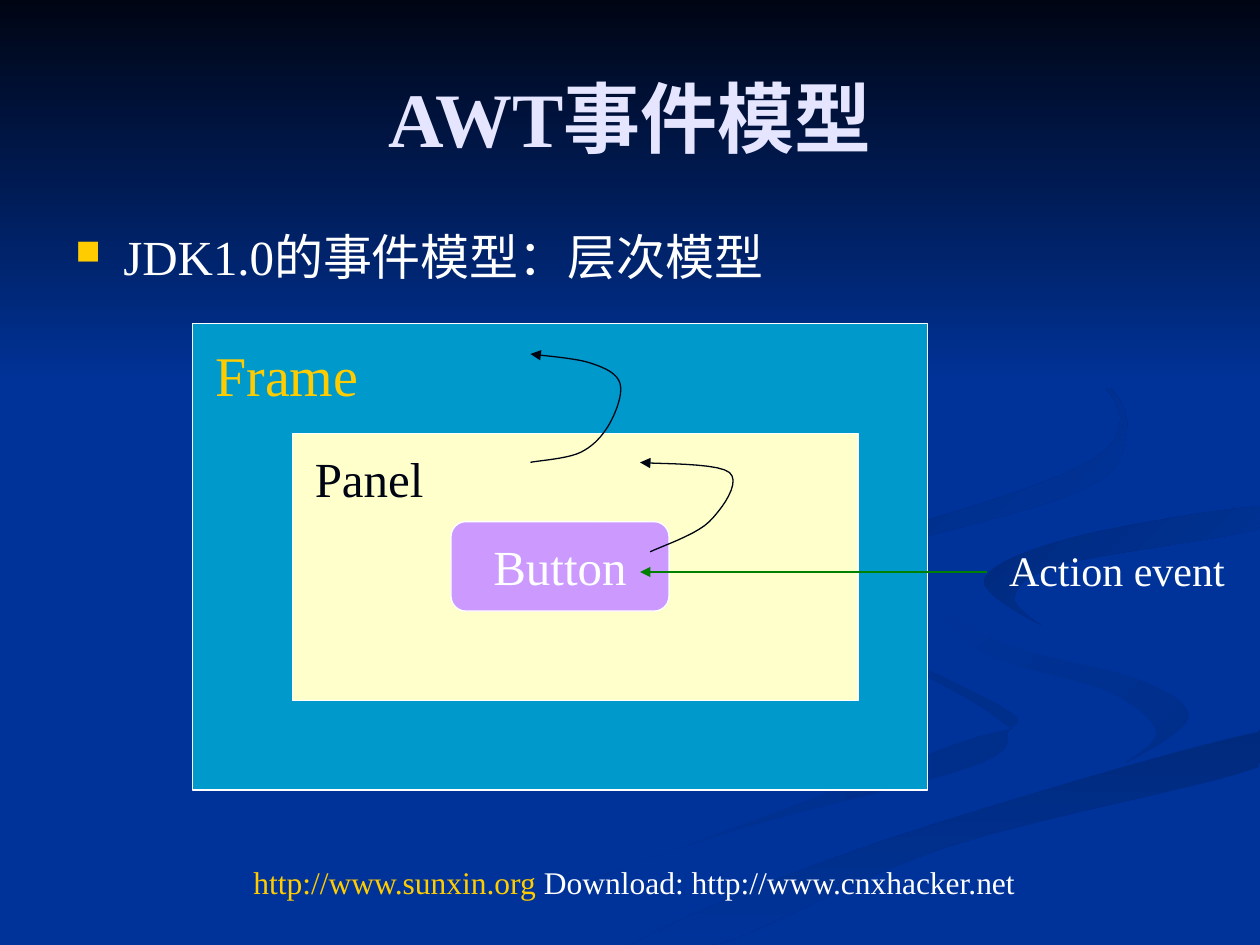
"""Build the AWT event model slide."""
import dataclasses

import lxml.etree
import pptx
import pptx.dml.color
import pptx.enum.shapes
import pptx.enum.text
import pptx.oxml.ns
import pptx.util

Inches = pptx.util.Inches
Pt = pptx.util.Pt
qn = pptx.oxml.ns.qn
PP_ALIGN = pptx.enum.text.PP_ALIGN
MSO_ANCHOR = pptx.enum.text.MSO_ANCHOR
MSO_SHAPE = pptx.enum.shapes.MSO_SHAPE


@dataclasses.dataclass(frozen=True)
class Theme:
    """Colours and type sizes."""
    font: str = "Times New Roman"
    blue: str = "003399"
    shade: str = "002E8B"
    deep: str = "002A7D"
    night: str = "000514"
    title: str = "E5E5FF"
    white: str = "FFFFFF"
    gold: str = "FFCC00"
    frame: str = "0099CC"
    panel: str = "FFFFCC"
    button: str = "CC99FF"
    event: str = "008000"
    title_size: int = 44
    frame_size: int = 32
    body_size: int = 28
    event_size: int = 24
    footer_size: int = 18
    line: float = 0.75


T = Theme()
WIDTH, HEIGHT = 10, 7.5

SWIRLS = [
    (T.blue, T.shade, 0, [(5.75, 4.6), (7.86, 5.56), (8, 5.81), (7.69, 6.09), (5.64, 6.65),
                          (3.3, 7.5), (7.39, 5.98), (7.86, 5.66)]),
    (T.blue, T.shade, 45, [(7.24, 4.64), (7.92, 5.09), (9.05, 5.4), (9.43, 5.7), (8.94, 6.05),
                           (9.18, 5.81), (8.8, 5.49), (7.81, 5.18)]),
    (T.deep, T.blue, 90, [(5.03, 7.49), (6.96, 6.69), (9.98, 5.81), (9.98, 6.09), (7.52, 6.72),
                          (5.71, 7.49)]),
    (T.deep, T.blue, 45, [(7.81, 4.6), (8.26, 4.96), (8.05, 4.74), (8.43, 4.48), (9.98, 4.2),
                          (9.98, 4.02), (8.5, 4.27)]),
    (T.deep, T.blue, 45, [(7.62, 2.33), (8.64, 2.91), (8.94, 3.44), (8.41, 3.96), (5.8, 4.6),
                          (8.3, 3.82), (8.89, 3.35), (8.46, 2.79)]),
]

PANEL_ARROW = [(5.16, 4.38), (5.63, 4.14), (5.79, 3.75), (5.08, 3.67)]
FRAME_ARROW = [(4.21, 3.67), (4.61, 3.59), (4.84, 3.36), (4.92, 3.04), (4.68, 2.88), (4.21, 2.81)]


def rgb(color):
    """Return a colour object for a hex string."""
    return pptx.dml.color.RGBColor.from_string(color)


def spline(a, b, c, d, t):
    """Return the Catmull-Rom value between b and c."""
    return b + t / 2 * (c - a + t * (2 * a - 5 * b + 4 * c - d + t * (3 * (b - c) + d - a)))


def smooth(points, close, steps=10):
    """Return a dense smooth line through the points, kept on the slide."""
    ends = (points[-1:], points[:2]) if close else (points[:1], points[-1:])
    knots = ends[0] + points + ends[1]
    dense = [points[0]]
    for quad in zip(knots, knots[1:], knots[2:], knots[3:]):
        for n in range(1, steps + 1):
            x, y = (spline(*axis, n / steps) for axis in zip(*quad))
            dense.append((min(x, WIDTH), min(y, HEIGHT)))
    return dense


def add_curve(s, points, close):
    """Add a smooth freeform through points given in inches."""
    pts = [(Inches(x), Inches(y)) for x, y in smooth(points, close)]
    builder = s.shapes.build_freeform(*pts[0], scale=1.0)
    builder.add_line_segments(pts[1:], close=close)
    sp = builder.convert_to_shape()
    sp.shadow.inherit = False
    return sp


def fill_gradient(sp, start, end, angle):
    """Fill a borderless shape with a linear gradient."""
    sp.line.fill.background()
    sp.fill.gradient()
    sp.fill.gradient_angle = 360 - angle
    for stop, color in zip(sp.fill.gradient_stops, (start, end)):
        stop.color.rgb = rgb(color)


def style_arrow(sp, color):
    """Give a line its colour, width and end arrowhead."""
    sp.line.color.rgb = rgb(color)
    sp.line.width = Pt(T.line)
    ln = sp._element.spPr.find(qn("a:ln"))
    lxml.etree.SubElement(ln, qn("a:tailEnd"), type="triangle")


def add_curved_arrow(s, points):
    """Add an open curve with an arrowhead."""
    sp = add_curve(s, points, False)
    sp.fill.background()
    style_arrow(sp, T.night)


def add_arrow(s, start, end):
    """Add the straight event arrow."""
    sp = s.shapes.add_connector(pptx.enum.shapes.MSO_CONNECTOR.STRAIGHT,
                                *map(Inches, start + end))
    style_arrow(sp, T.event)
    lxml.etree.SubElement(sp._element.spPr, qn("a:effectLst"))


def add_box(s, kind, at, color):
    """Add a filled container with a thin white border."""
    sp = s.shapes.add_shape(kind, *map(Inches, at))
    sp.shadow.inherit = False
    sp.fill.solid()
    sp.fill.fore_color.rgb = rgb(color)
    sp.line.color.rgb = rgb(T.white)
    sp.line.width = Pt(T.line)
    return sp


def write(tf, runs, size, align=PP_ALIGN.LEFT, bold=False):
    """Fill the first paragraph with coloured runs."""
    p = tf.paragraphs[0]
    p.alignment = align
    p.font.name, p.font.size, p.font.bold = T.font, Pt(size), bold
    for text, color in runs:
        r = p.add_run()
        r.text = text
        r.font.color.rgb = rgb(color)


def add_text(s, at, runs, size, align=PP_ALIGN.LEFT, bold=False, anchor=MSO_ANCHOR.TOP):
    """Add a wrapping text box and return its frame."""
    tf = s.shapes.add_textbox(*map(Inches, at)).text_frame
    tf.word_wrap = True
    tf.vertical_anchor = anchor
    write(tf, runs, size, align, bold)
    return tf


def add_bullet(p):
    """Give a paragraph a square gold bullet and hanging indent."""
    pPr = p._p.get_or_add_pPr()
    pPr.set("marL", str(Inches(0.38)))
    pPr.set("indent", str(-Inches(0.38)))
    color = lxml.etree.Element(qn("a:buClr"))
    lxml.etree.SubElement(color, qn("a:srgbClr"), val=T.gold)
    size = lxml.etree.Element(qn("a:buSzPct"), val="70000")
    char = lxml.etree.Element(qn("a:buChar"), char="■")
    for i, el in enumerate((color, size, char)):
        pPr.insert(i, el)


def add_backdrop(s):
    """Draw the blue background with its swirls and dark top."""
    s.background.fill.solid()
    s.background.fill.fore_color.rgb = rgb(T.blue)
    for start, end, angle, points in SWIRLS:
        fill_gradient(add_curve(s, points, True), start, end, angle)
    fill_gradient(add_box(s, MSO_SHAPE.RECTANGLE, (0, 0, WIDTH, 3.08), T.blue),
                  T.night, T.blue, 90)


def main():
    """Build and save the slide."""
    prs = pptx.Presentation()
    prs.slide_width, prs.slide_height = Inches(WIDTH), Inches(HEIGHT)
    s = prs.slides.add_slide(prs.slide_layouts[6])
    add_backdrop(s)

    add_text(s, (0.5, 0.3, 9, 1.25), [("AWT事件模型", T.title)], T.title_size,
             PP_ALIGN.CENTER, True, MSO_ANCHOR.MIDDLE)
    tf = add_text(s, (0.5, 1.75, 9.15, 0.82), [("JDK1.0的事件模型：层次模型", T.white)], T.body_size)
    add_bullet(tf.paragraphs[0])

    add_box(s, MSO_SHAPE.RECTANGLE, (1.53, 2.57, 5.83, 3.7), T.frame)
    add_text(s, (1.61, 2.65, 1.65, 0.64), [("Frame", T.gold)], T.frame_size)
    add_box(s, MSO_SHAPE.RECTANGLE, (2.32, 3.44, 4.49, 2.12), T.panel)
    add_text(s, (2.4, 3.51, 1.26, 0.57), [("Panel", T.night)], T.body_size)
    button = add_box(s, MSO_SHAPE.ROUNDED_RECTANGLE, (3.58, 4.14, 1.73, 0.71), T.button)
    button.text_frame.word_wrap = False
    write(button.text_frame, [("Button", T.white)], T.body_size, PP_ALIGN.CENTER)

    for points in (PANEL_ARROW, FRAME_ARROW):
        add_curved_arrow(s, points)
    add_arrow(s, (7.83, 4.54), (5.08, 4.54))
    add_text(s, (7.91, 4.27, 2.01, 0.9), [("Action event", T.white)], T.event_size)
    add_text(s, (1.77, 6.8, 6.53, 0.7),
             [("http://www.sunxin.org", T.gold), (" Download: http://www.cnxhacker.net", T.white)],
             T.footer_size, PP_ALIGN.CENTER)
    prs.save("out.pptx")


if __name__ == "__main__":
    main()
